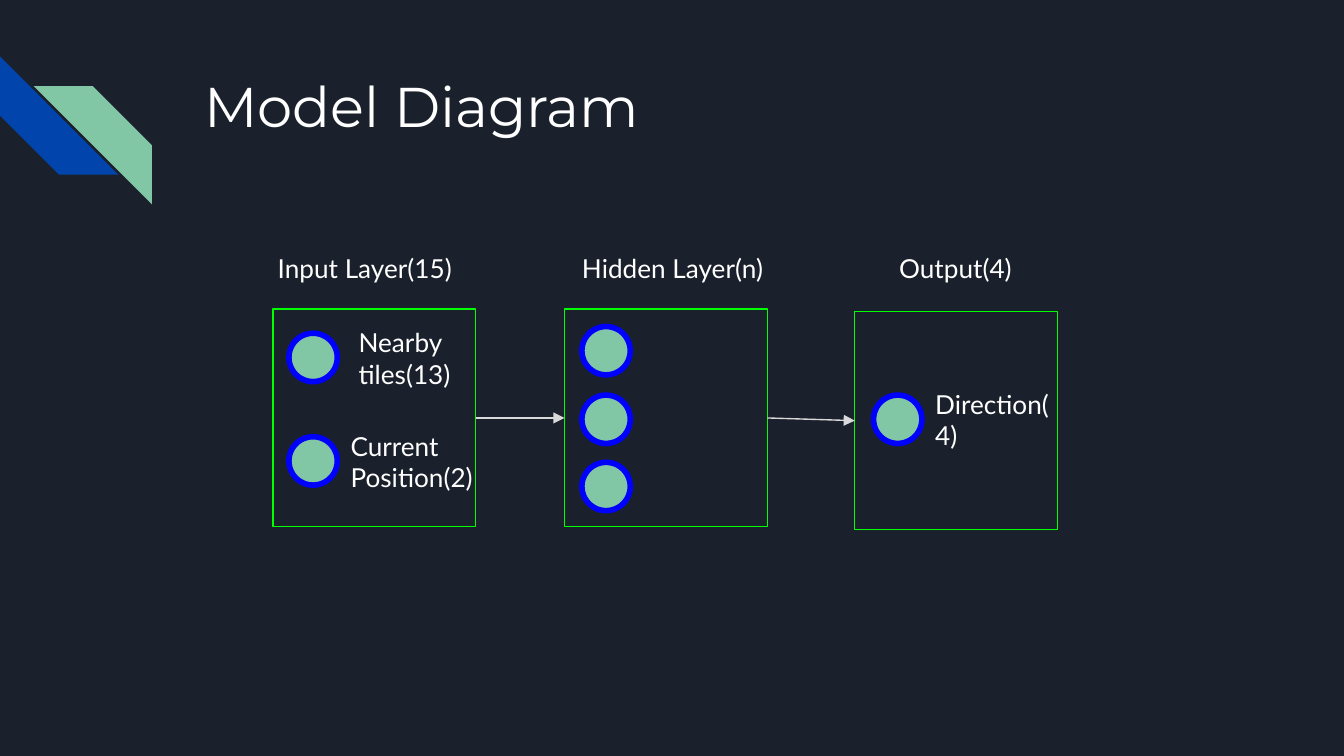
from lxml.etree import SubElement
from pptx import Presentation
from pptx.dml.color import RGBColor
from pptx.enum.shapes import MSO_CONNECTOR as Connector, MSO_SHAPE as Shape
from pptx.enum.text import MSO_ANCHOR as Anchor, PP_ALIGN as Align
from pptx.oxml.ns import qn
from pptx.util import Inches, Pt

COLORS = {
    "background": "1B212C",
    "text": "FFFFFF",
    "blue": "0145AC",
    "green": "82C7A5",
    "ring": "0000FF",
    "frame": "00FF00",
    "arrow": "D9D9D9",
}


def color(name):
    return RGBColor.from_string(COLORS[name])


def write(frame, text, font="Lato", size=14, align=Align.LEFT):
    frame.word_wrap = True
    frame.vertical_anchor = Anchor.TOP
    frame.margin_left = frame.margin_right = Inches(0.1)
    frame.margin_top = frame.margin_bottom = Inches(0.1)
    para = frame.paragraphs[0]
    para.alignment = align
    span = para.add_run()
    span.text = text
    span.font.name = font
    span.font.size = Pt(size)
    span.font.color.rgb = color("text")


class DiagramPage:
    def __init__(self, deck):
        self.page = deck.slides.add_slide(deck.slide_layouts[5])
        self.page.background.fill.solid()
        self.page.background.fill.fore_color.rgb = color("background")

    def title(self, text, left, top, width, height):
        box = self.page.shapes.title
        box.left, box.top = Inches(left), Inches(top)
        box.width, box.height = Inches(width), Inches(height)
        write(box.text_frame, text, font="Montserrat", size=30)

    def shape(self, kind, left, top, width, height, fill=None, line=None, weight=0.75):
        box = self.page.shapes.add_shape(
            kind, Inches(left), Inches(top), Inches(width), Inches(height))
        box.shadow.inherit = False
        if fill:
            box.fill.solid()
            box.fill.fore_color.rgb = color(fill)
        else:
            box.fill.background()
        if line:
            box.line.color.rgb = color(line)
            box.line.width = Pt(weight)
        else:
            box.line.fill.background()
        return box

    def stripe(self, left, top, fill):
        return self.shape(Shape.DIAGONAL_STRIPE, left, top, 0.88, 0.88, fill)

    def frame(self, left, top):
        return self.shape(Shape.RECTANGLE, left, top, 1.51, 1.62, line="frame")

    def neuron(self, left, top):
        self.shape(Shape.OVAL, left, top, 0.36, 0.36, "green", "ring", 3)

    def label(self, text, left, top, width, height, align=Align.LEFT):
        box = self.page.shapes.add_textbox(
            Inches(left), Inches(top), Inches(width), Inches(height))
        write(box.text_frame, text, align=align)

    def arrow(self, source, target):
        arrow = self.page.shapes.add_connector(Connector.STRAIGHT, 0, 0, 0, 0)
        arrow.begin_connect(source, 3)
        arrow.end_connect(target, 1)
        arrow.line.color.rgb = color("arrow")
        arrow.line.width = Pt(0.75)
        properties = arrow._element.spPr
        SubElement(properties.find(qn("a:ln")), qn("a:tailEnd"), type="triangle")
        SubElement(properties, qn("a:effectLst"))


def main():
    deck = Presentation()
    deck.slide_width = Inches(10)
    deck.slide_height = deck.slide_width * 9 // 16
    diagram = DiagramPage(deck)

    diagram.stripe(0, 0.42, "blue").rotation = 270
    green_stripe = diagram.stripe(0.25, 0.64, "green")
    green_stripe._element.spPr.find(qn("a:xfrm")).set("flipH", "1")
    diagram.title("Model Diagram", 1.42, 0.43, 7.7, 1)

    for text, left, width in [
        ("Input Layer(15)", 1.9, 1.63),
        ("Hidden Layer(n)", 4.19, 1.63),
        ("Output(4)", 6.56, 1.1),
    ]:
        diagram.label(text, left, 1.78, width, 0.36, Align.CENTER)

    layers = [diagram.frame(left, top)
              for left, top in [(2.03, 2.3), (4.2, 2.3), (6.36, 2.32)]]
    for source, target in zip(layers, layers[1:]):
        diagram.arrow(source, target)

    for left, top in [(2.15, 2.48), (2.15, 3.25), (4.33, 2.43),
                      (4.33, 2.94), (4.33, 3.44), (6.5, 2.94)]:
        diagram.neuron(left, top)

    for text, left, top, width in [
        ("Nearby tiles(13)", 2.57, 2.33, 1.06),
        ("Current Position(2)", 2.51, 3.1, 1.15),
        ("Direction(4)", 6.86, 2.79, 1.06),
    ]:
        diagram.label(text, left, top, width, 0.65)

    deck.save("out.pptx")


if __name__ == "__main__":
    main()
